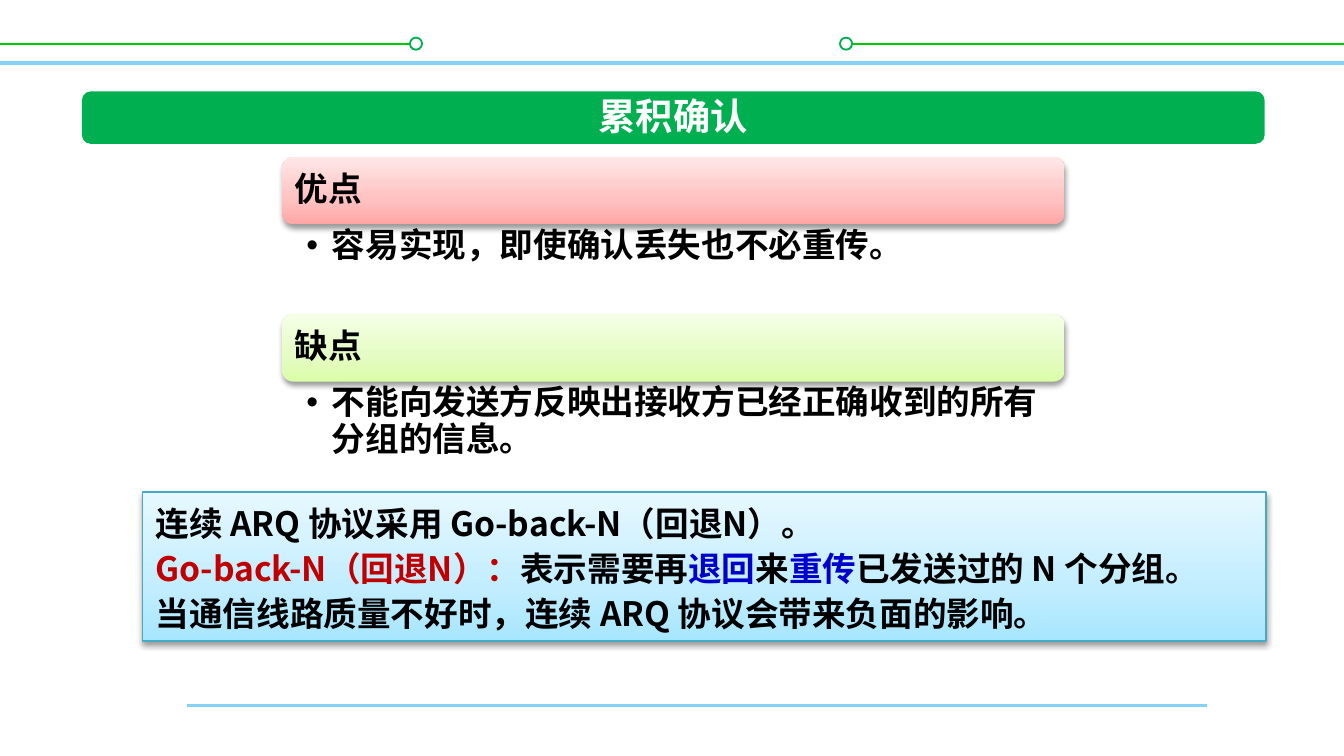
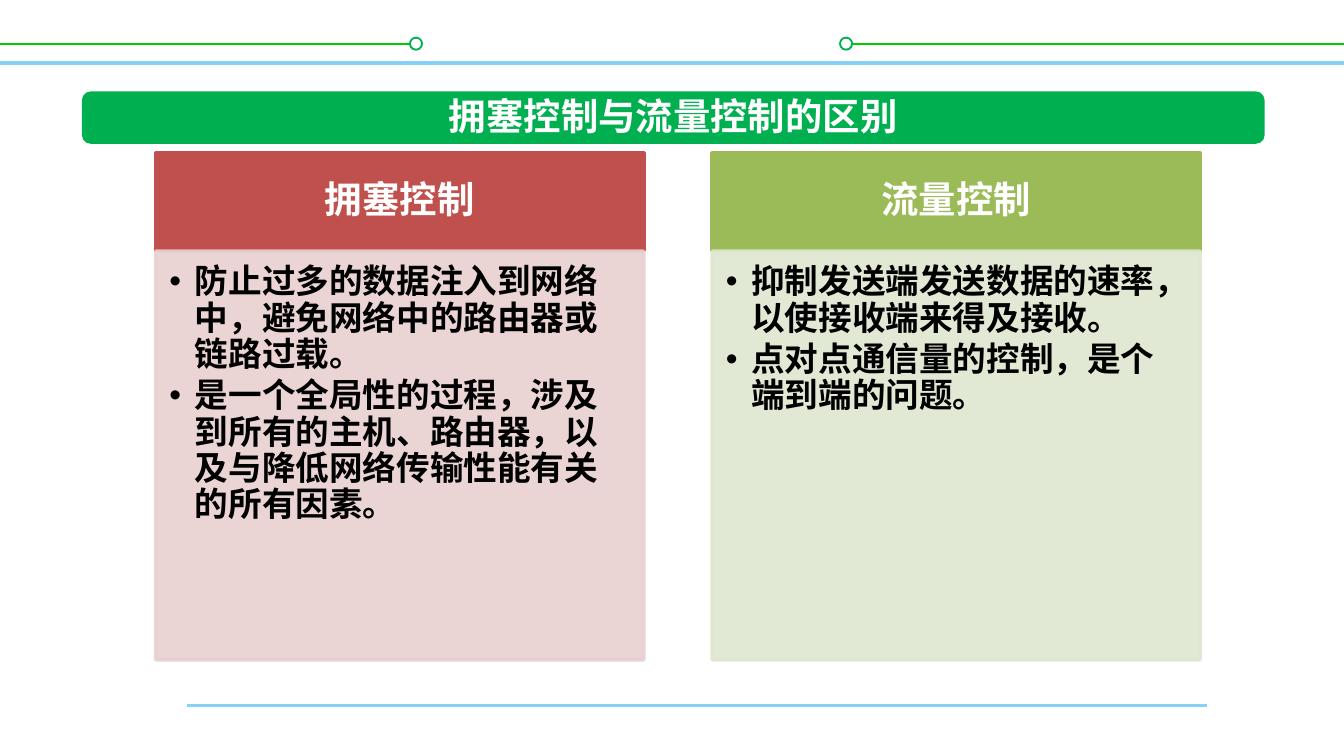
from copy import deepcopy
from dataclasses import dataclass

from lxml.etree import SubElement
from pptx import Presentation
from pptx.dml.color import RGBColor
from pptx.enum.shapes import MSO_CONNECTOR, MSO_SHAPE
from pptx.enum.text import MSO_ANCHOR as Anchor, MSO_AUTO_SIZE, PP_ALIGN as Align
from pptx.oxml.ns import qn
from pptx.util import Inches, Pt


@dataclass(frozen=True)
class Theme:
    font: str = "Noto Sans CJK SC"
    title_size: int = 20
    text_size: int = 18
    white: str = "FFFFFF"
    black: str = "000000"
    green: str = "00B050"
    bright_green: str = "00CC00"
    sky: str = "85D1F7"
    term: str = "C00000"
    emphasis: str = "0000CC"
    box_line: str = "46AAC5"
    red: str = "C0504D"
    red_tint: str = "E8D0D0"
    olive: str = "9BBB59"
    olive_tint: str = "DEE7D1"
    pink_fade: tuple = ("FFA6A5", "FFC0BF", "FFE7E7")
    lime_fade: tuple = ("DAFDA7", "E4FCC2", "F5FFE7")
    blue_fade: tuple = ("A7E6FF", "C1EDFF", "E7F8FF")


def rgb(color):
    return RGBColor.from_string(color)


def place(sp, box):
    sp.left, sp.top, sp.width, sp.height = map(Inches, box)


class Deck:
    def __init__(self, theme):
        self.theme = theme
        self.prs = Presentation()
        self.prs.slide_width = Inches(10)
        self.prs.slide_height = Inches(10 * 9 / 16)
        self.layout = self.prs.slide_layouts[3]
        for ph in list(self.layout.placeholders):
            if ph.placeholder_format.idx >= 10:
                ph.element.getparent().remove(ph.element)
        self.s = None

    def add_slide(self, title):
        first = self.s is None
        self.s = self.prs.slides.add_slide(self.layout)
        if first:
            self.furnish_layout()
        self.title(title)

    def furnish_layout(self):
        t = self.theme
        parts = [
            self.line(1.39, 8.98, 5.25, t.sky, 1.5),
            self.line(0, 10, 0.47, t.sky, 2),
        ]
        for start, end, ring_left in ((0, 3.1, 3.05), (6.25, 10, 6.25)):
            parts.append(self.line(start, end, 0.33, t.bright_green, 1))
            parts.append(self.shape(MSO_SHAPE.OVAL, (ring_left, 0.28, 0.09, 0.09),
                                    t.white, t.green, 1))
        for part in parts:
            self.layout.shapes.element.append(part.element)

    def line(self, start, end, y, color, width):
        cxn = self.s.shapes.add_connector(
            MSO_CONNECTOR.STRAIGHT, Inches(start), Inches(y), Inches(end), Inches(y))
        cxn.line.color.rgb = rgb(color)
        cxn.line.width = Pt(width)
        SubElement(cxn.element.spPr, qn("a:effectLst"))
        return cxn

    def shape(self, kind, box, fill=None, line=None, width=0.75):
        sp = self.s.shapes.add_shape(kind, *map(Inches, box))
        sp.shadow.inherit = False
        if fill:
            sp.fill.solid()
            sp.fill.fore_color.rgb = rgb(fill)
        if line:
            sp.line.color.rgb = rgb(line)
            sp.line.width = Pt(width)
        else:
            sp.line.fill.background()
        return sp

    def faded(self, kind, box, colors, line=None):
        sp = self.shape(kind, box, line=line)
        sp.fill.gradient()
        sp.fill.gradient_angle = 90
        spPr = sp.element.spPr
        stops = spPr.find(".//" + qn("a:gsLst"))
        stops.insert(1, deepcopy(stops[0]))
        for stop, position, color in zip(sp.fill.gradient_stops, (0, 0.35, 1), colors):
            stop.position = position
            stop.color.rgb = rgb(color)
        shadow = SubElement(spPr.find(qn("a:effectLst")), qn("a:outerShdw"),
                            blurRad=str(Pt(3.1)), dist=str(Pt(1.6)),
                            dir="5400000", rotWithShape="0")
        color = SubElement(shadow, qn("a:srgbClr"), val=self.theme.black)
        SubElement(color, qn("a:alpha"), val="38000")
        return sp

    def panel(self, box, color):
        sp = self.shape(MSO_SHAPE.RECTANGLE, box, color, color, 2)
        for clr in sp.element.spPr.iter(qn("a:srgbClr")):
            SubElement(clr, qn("a:alpha"), val="90000")

    def frame(self, sp, insets, anchor=Anchor.TOP):
        tf = sp.text_frame
        tf.word_wrap = True
        tf.auto_size = MSO_AUTO_SIZE.NONE
        tf.vertical_anchor = anchor
        tf.margin_left, tf.margin_top, tf.margin_right, tf.margin_bottom = map(Inches, insets)
        return tf

    def style_run(self, r, size, color):
        r.font.size = Pt(size)
        r.font.bold = True
        r.font.name = self.theme.font
        r.font.color.rgb = rgb(color)
        SubElement(r.font._element, qn("a:ea"), typeface=self.theme.font)

    def label(self, sp, text, size, color, align, insets):
        tf = self.frame(sp, insets, Anchor.MIDDLE)
        tf.text = text
        p = tf.paragraphs[0]
        p.alignment = align
        p.line_spacing = 0.9
        self.style_run(p.runs[0], size, color)

    def title(self, text):
        t = self.theme
        self.shape(MSO_SHAPE.ROUNDED_RECTANGLE, (0.61, 0.68, 8.8, 0.39), t.green)
        sp = self.s.shapes.title
        place(sp, (0.61, 0.66, 8.8, 0.44))
        self.label(sp, text, t.title_size, t.white, Align.CENTER, (0, 0, 0, 0))
        self.s.shapes.element.append(sp.element)

    def bullets(self, idx, box, items, insets):
        sp = self.s.placeholders[idx]
        place(sp, box)
        tf = self.frame(sp, insets)
        tf.text = "\n".join(items)
        for p in tf.paragraphs:
            p.level = 1
            pPr = p._p.get_or_add_pPr()
            pPr.set("marL", str(Inches(0.19)))
            pPr.set("indent", str(Inches(-0.19)))
            SubElement(pPr, qn("a:buFont"), typeface="Arial")
            SubElement(pPr, qn("a:buChar"), char="•")
            p.line_spacing = 0.9
            p.space_before = Pt(0)
            p.space_after = Pt(2.7)
            self.style_run(p.runs[0], self.theme.text_size, self.theme.black)
        self.s.shapes.element.append(sp.element)

    def topic(self, idx, top, heading, fade, item, height):
        t = self.theme
        sp = self.faded(MSO_SHAPE.ROUNDED_RECTANGLE, (2.1, top, 5.82, 0.5), fade)
        self.label(sp, heading, t.text_size, t.black, Align.LEFT, (0.07,) * 4)
        self.bullets(idx, (2.1, top + 0.5, 5.82, height), [item], (0.18, 0.03, 0.14, 0.03))

    def column(self, idx, left, heading, color, tint, items):
        t = self.theme
        sp = self.shape(MSO_SHAPE.RECTANGLE, (left, 1.14, 3.63, 0.72), color, color, 2)
        self.label(sp, heading, t.title_size, t.white, Align.CENTER, (0.16, 0.09, 0.16, 0.09))
        body = (left, 1.87, 3.63, 3.04)
        self.panel(body, tint)
        self.bullets(idx, body, items, (0.1, 0.1, 0.14, 0.16))

    def summary(self, box, lines):
        t = self.theme
        sp = self.faded(MSO_SHAPE.RECTANGLE, box, t.blue_fade, t.box_line)
        tf = self.frame(sp, (0.1, 0.05, 0.1, 0.05))
        for i, line in enumerate(lines):
            p = tf.add_paragraph() if i else tf.paragraphs[0]
            p.alignment = Align.LEFT
            p.line_spacing = Pt(24)
            for text, color in line:
                r = p.add_run()
                r.text = text
                self.style_run(r, t.text_size, color)


def main():
    t = Theme()
    deck = Deck(t)

    deck.add_slide("累积确认")
    deck.topic(1, 1.17, "优点", t.pink_fade, "容易实现，即使确认丢失也不必重传。", 0.67)
    deck.topic(2, 2.34, "缺点", t.lime_fade,
               "不能向发送方反映出接收方已经正确收到的所有分组的信息。", 0.84)
    deck.summary((1.06, 3.66, 8.36, 1.11), [
        [("连续 ARQ 协议采用 Go-back-N（回退N）。", t.black)],
        [("Go-back-N（回退N）：", t.term), ("表示需要再", t.black),
         ("退回", t.emphasis), ("来", t.black), ("重传", t.emphasis),
         ("已发送过的 N 个分组。", t.black)],
        [("当通信线路质量不好时，连续 ARQ 协议会带来负面的影响。", t.black)],
    ])

    deck.add_slide("拥塞控制与流量控制的区别")
    deck.column(1, 1.16, "拥塞控制", t.red, t.red_tint, [
        "防止过多的数据注入到网络中，避免网络中的路由器或链路过载。",
        "是一个全局性的过程，涉及到所有的主机、路由器，以及与降低网络传输性能有关的所有因素。",
    ])
    deck.column(2, 5.3, "流量控制", t.olive, t.olive_tint, [
        "抑制发送端发送数据的速率，以使接收端来得及接收。",
        "点对点通信量的控制，是个端到端的问题。",
    ])

    deck.prs.save("out.pptx")


if __name__ == "__main__":
    main()
